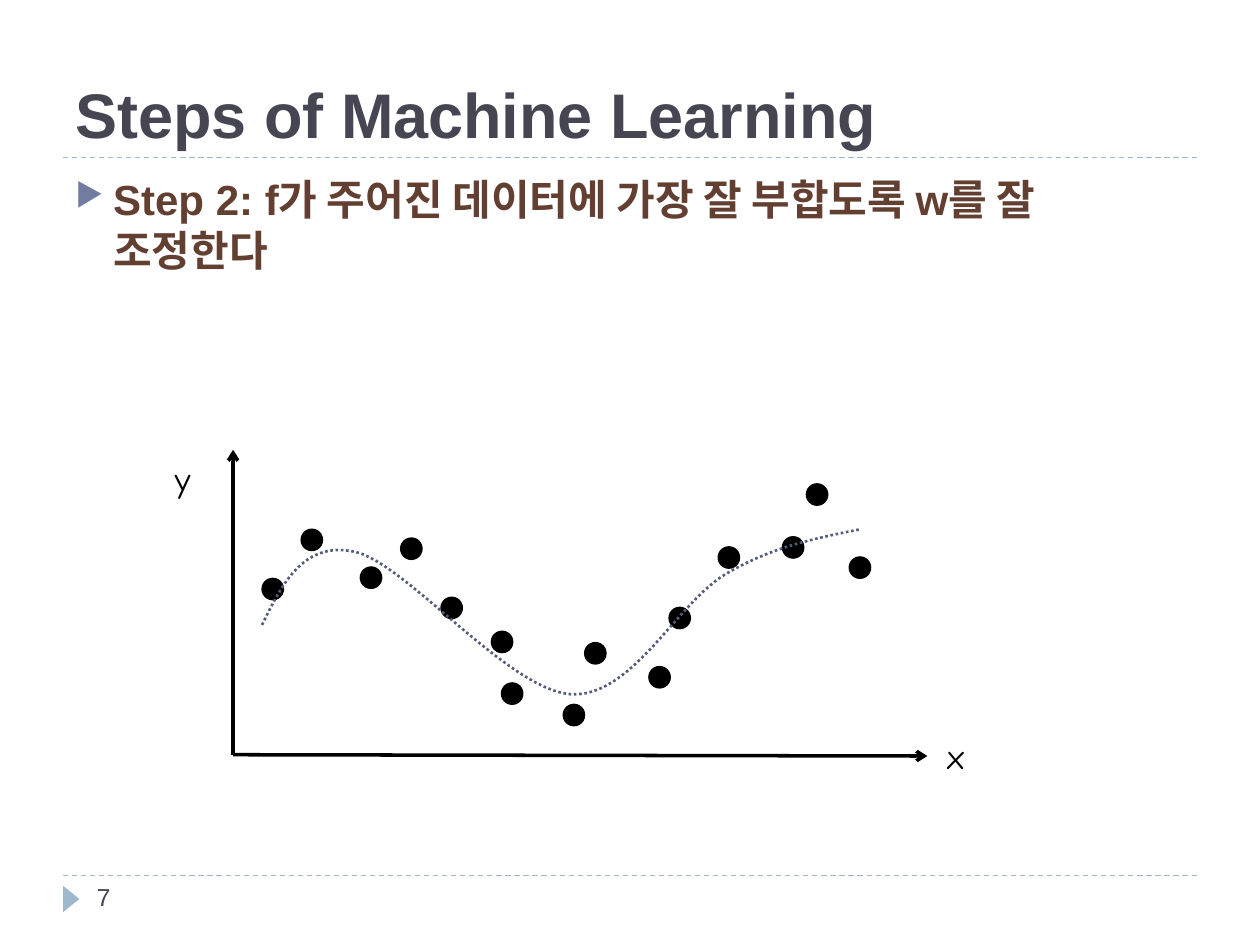
from lxml.etree import SubElement
from pptx import Presentation
from pptx.dml.color import RGBColor
from pptx.enum.dml import MSO_LINE as Dash
from pptx.enum.shapes import MSO_CONNECTOR as Connector, MSO_SHAPE as Shape
from pptx.enum.text import MSO_ANCHOR as Anchor, MSO_AUTO_SIZE as AutoSize
from pptx.oxml.ns import qn
from pptx.util import Inches, Pt

BLACK = RGBColor(0x00, 0x00, 0x00)
SLATE = RGBColor(0x46, 0x46, 0x53)
BROWN = RGBColor(0x63, 0x3F, 0x32)
PALE_BLUE = RGBColor(0x9F, 0xB8, 0xCD)
CURVE_BLUE = RGBColor(0x54, 0x5C, 0x79)
BULLET_BLUE = RGBColor(0x72, 0x7C, 0xA3)

deck = Presentation()
deck.slide_width, deck.slide_height = Inches(10), Inches(7.5)
slide = deck.slides.add_slide(deck.slide_layouts[6])
shapes = slide.shapes
COL, ROW = deck.slide_width / 10, deck.slide_height / 7.5


def grid(*lengths):
    """Turn alternating column and row counts into slide lengths."""
    return [round(n * (ROW if i % 2 else COL)) for i, n in enumerate(lengths)]


def add_text(text, box, font, **frame):
    text_frame = shapes.add_textbox(*grid(*box)).text_frame
    for key, value in ({"word_wrap": True} | frame).items():
        setattr(text_frame, key, value)
    paragraph = text_frame.paragraphs[0]
    run = paragraph.add_run()
    run.text = text
    color = font.pop("color")
    for key, value in font.items():
        setattr(run.font, key, value)
    run.font.color.rgb = color
    return paragraph


# Rules above and below the content, then the axes
RULES = [((0.5, y, 9.5, y), PALE_BLUE, 0.75) for y in (6.95, 1.25)]
AXES = [((1.85, 5.99, *end), BLACK, 2) for end in ((7.36, 6), (1.85, 3.57))]
for ends, color, width in RULES + AXES:
    line = shapes.add_connector(Connector.STRAIGHT, *grid(*ends))
    line.line.color.rgb = color
    line.line.width = Pt(width)
    if color == PALE_BLUE:
        line.line.dash_style = Dash.DASH
    else:
        SubElement(line.line._get_or_add_ln(), qn("a:tailEnd"), type="arrow")
    SubElement(line._element.spPr, qn("a:effectLst"))

page_marker = shapes.add_shape(Shape.ISOSCELES_TRIANGLE, *grid(0.46, 7.07, 0.21, 0.13))
page_marker.rotation = 90
page_marker.shadow.inherit = False
page_marker.fill.solid()
page_marker.fill.fore_color.rgb = PALE_BLUE
page_marker.line.fill.background()

add_text("Steps of Machine Learning", (0.5, 0.17, 9, 1.08),
         {"name": "Arial", "size": Pt(36), "bold": True, "color": SLATE},
         vertical_anchor=Anchor.BOTTOM)
add_text("7", (0.67, 6.95, 2.17, 0.4),
         {"name": "Arial", "size": Pt(14), "color": SLATE})
step = add_text("Step 2: f가 주어진 데이터에 가장 잘 부합도록 w를 잘 조정한다",
                (0.5, 1.33, 9, 5.4),
                {"name": "Arial", "size": Pt(24), "bold": True, "color": BROWN})
indent = step._p.get_or_add_pPr()
indent.set("marL", str(Inches(0.3)))
indent.set("indent", str(Inches(-0.3)))
bullet_color = SubElement(indent, qn("a:buClr"))
SubElement(bullet_color, qn("a:srgbClr"), val=str(BULLET_BLUE))
SubElement(indent, qn("a:buSzPct"), val="76000")
SubElement(indent, qn("a:buChar"), char="▶")

# Data points, by the top left corner of each dot
DOT = 0.17
POINTS = [
    (2.08, 4.59), (2.39, 4.2), (2.86, 4.5), (3.18, 4.27), (3.5, 4.74),
    (3.9, 5.01), (3.98, 5.42), (4.47, 5.59), (4.64, 5.1), (5.15, 5.29),
    (5.31, 4.82), (5.7, 4.34), (6.21, 4.26), (6.4, 3.84), (6.74, 4.42),
]
for x, y in POINTS:
    point = shapes.add_shape(Shape.OVAL, *grid(x, y, DOT, DOT))
    point.shadow.inherit = False
    point.fill.solid()
    point.fill.fore_color.rgb = BLACK
    point.line.color.rgb = BLACK
    point.line.width = Pt(0.75)

for axis_name, box in {"x": (7.42, 5.78, 0.37, 0.44), "y": (1.29, 3.58, 0.35, 0.44)}.items():
    add_text(axis_name, box, {"name": "Comic Neue", "size": Pt(20), "color": BLACK},
             word_wrap=False, auto_size=AutoSize.SHAPE_TO_FIT_TEXT)

# Fitted curve: cubic Bezier pieces that share their end points
CONTROLS = [
    (2.08, 4.96), (2.24, 4.63), (2.41, 4.29), (2.82, 4.38), (3.22, 4.47),
    (4.04, 5.48), (4.53, 5.51), (5.02, 5.54), (5.38, 4.77), (5.77, 4.55),
    (6.15, 4.33), (6.49, 4.27), (6.83, 4.2),
]
STEPS = 24
curve_points = []
for first in range(0, len(CONTROLS) - 1, 3):
    piece = CONTROLS[first:first + 4]
    for t in (i / STEPS for i in range(1, STEPS + 1)):
        weights = ((1 - t) ** 3, 3 * t * (1 - t) ** 2, 3 * t ** 2 * (1 - t), t ** 3)
        curve_points.append(grid(*(sum(w * c for w, c in zip(weights, axis))
                                   for axis in zip(*piece))))
builder = shapes.build_freeform(*grid(*CONTROLS[0]))
builder.add_line_segments(curve_points, close=False)
fit = builder.convert_to_shape()
fit.shadow.inherit = False
fit.fill.background()
fit.line.color.rgb = CURVE_BLUE
fit.line.width = Pt(1.5)
fit.line.dash_style = Dash.ROUND_DOT

deck.save("out.pptx")
